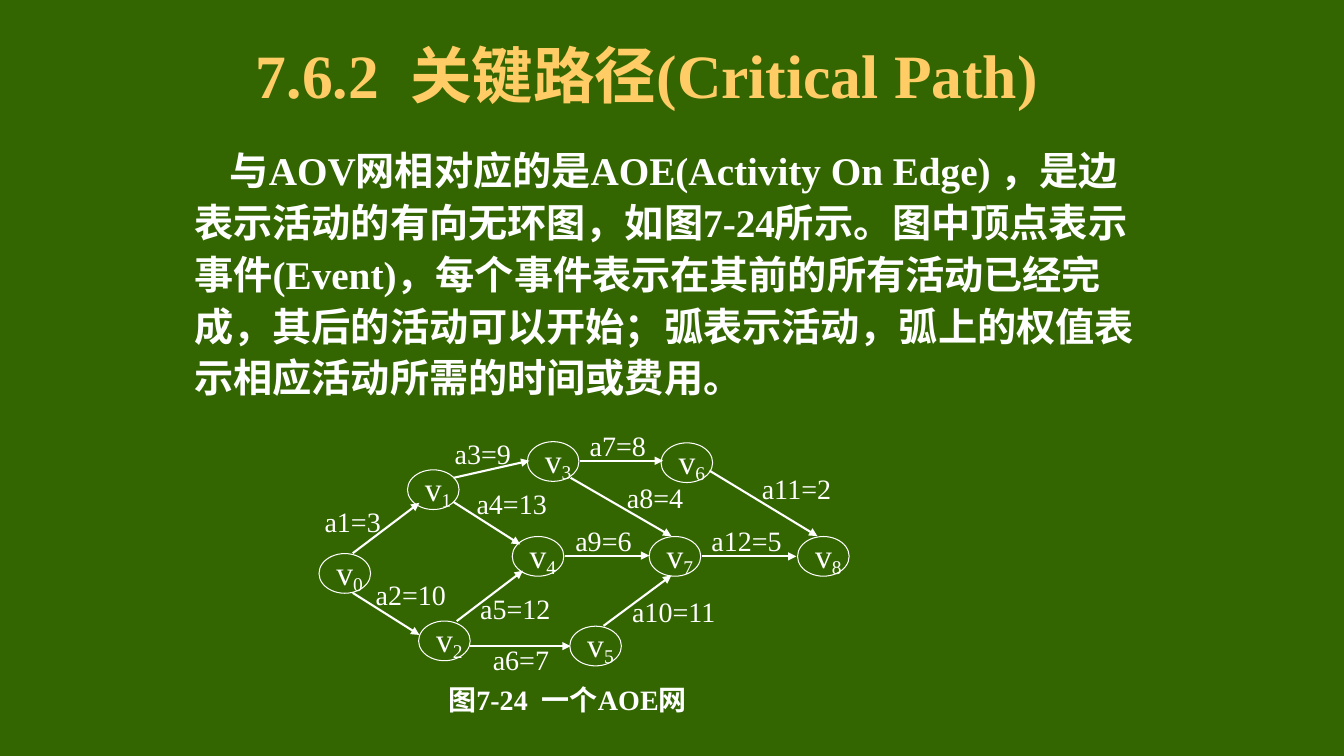
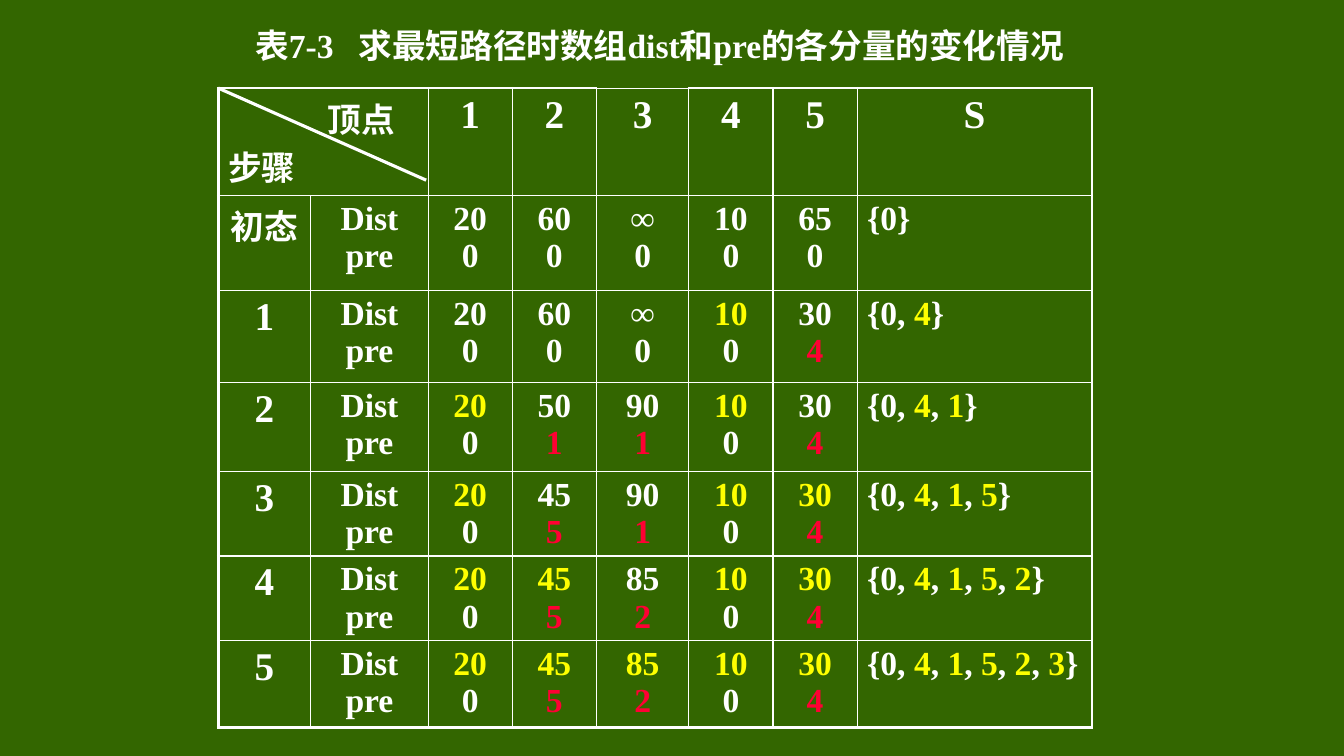
from pptx import Presentation
from pptx.dml.color import RGBColor
from pptx.enum.shapes import MSO_CONNECTOR as LINE, MSO_SHAPE as SHAPE
from pptx.enum.text import MSO_ANCHOR as ANCHOR, PP_ALIGN as ALIGN
from pptx.oxml.ns import qn
from pptx.util import Cm, Pt
from lxml.etree import SubElement

GREEN = RGBColor(0x33, 0x66, 0x00)
GOLD = RGBColor(0xFF, 0xCC, 0x66)
WHITE = RGBColor(0xFF, 0xFF, 0xFF)
YELLOW = RGBColor(0xFF, 0xFF, 0x00)
RED = RGBColor(0xFF, 0x00, 0x33)
LATIN, HAN = "Times New Roman", "Noto Sans CJK SC"
THIN, THICK = Pt(1), Pt(2.25)

BODY = ("与AOV网相对应的是AOE(Activity On Edge) ，是边表示活动的有向无环图，"
        "如图7-24所示。图中顶点表示事件(Event)，每个事件表示在其前的所有活动已经完成，"
        "其后的活动可以开始；弧表示活动，弧上的权值表示相应活动所需的时间或费用。")

# Left and top of the events v0 to v8, in cm
NODES = [(8.04, 13.95), (10.27, 11.84), (10.55, 15.65), (13.29, 11.13), (12.91, 13.52),
         (14.36, 15.78), (16.66, 11.16), (16.36, 13.52), (20.1, 13.52)]

# Weight, left and top of the label, start and end of the arrow, for a1 to a12
EDGES = [
    (3, (7.93, 12.69), (8.89, 13.94), (10.57, 12.67)),
    (10, (9.22, 14.53), (8.89, 14.94), (10.57, 16)),
    (9, (11.21, 10.97), (11.43, 12.04), (13.34, 11.61)),
    (13, (11.76, 12.25), (11.43, 12.65), (13.11, 13.72)),
    (12, (11.85, 14.88), (11.51, 15.65), (13.18, 14.38)),
    (7, (12.17, 16.18), (11.84, 16.28), (14.38, 16.28)),
    (8, (14.61, 10.77), (14.61, 11.61), (16.71, 11.61)),
    (4, (15.55, 12.09), (14.38, 12.04), (16.92, 13.51)),
    (6, (14.25, 13.16), (14.25, 14), (16.36, 14)),
    (11, (15.68, 14.96), (15.21, 15.77), (16.92, 14.5)),
    (2, (18.95, 11.86), (17.88, 11.86), (20.6, 13.51)),
    (5, (17.68, 13.18), (17.68, 14.02), (20.07, 14.02)),
]

COLS = [2.33, 2.96, 2.12, 2.12, 2.33, 2.12, 2.12, 5.92]
ROWS = [2.7, 2.39, 2.32, 2.24, 2.12, 2.12, 2.19]
ORDER = [4, 1, 5, 2, 3]  # vertices in the order they join S
STEPS = [  # dist and pre of vertices 1 to 5 at each step
    ("20 60 ∞ 10 65", "0 0 0 0 0"),
    ("20 60 ∞ 10 30", "0 0 0 0 4"),
    ("20 50 90 10 30", "0 1 1 0 4"),
    ("20 45 90 10 30", "0 5 1 0 4"),
    ("20 45 85 10 30", "0 5 2 0 4"),
    ("20 45 85 10 30", "0 5 2 0 4"),
]


def add_run(para, text, size, color=WHITE, bold=True):
    run = para.add_run()
    run.text = text
    font = run.font
    font.name, font.size, font.bold = LATIN, Pt(size), bold
    font.color.rgb = color
    SubElement(font._element, qn("a:ea"), typeface=HAN)
    return run


def add_text(slide, box, text, size, color=WHITE, bold=True, align=ALIGN.LEFT,
             anchor=ANCHOR.MIDDLE, pitch=None):
    """Add a one-paragraph text box; pitch is the line height in points."""
    frame = slide.shapes.add_textbox(*map(Cm, box)).text_frame
    frame.word_wrap = True
    frame.vertical_anchor = anchor
    para = frame.paragraphs[0]
    para.alignment = align
    if pitch:
        para.line_spacing = Pt(pitch)
    add_run(para, text, size, color, bold)
    return para


def add_node(slide, num, spot):
    node = slide.shapes.add_shape(SHAPE.OVAL, *map(Cm, (*spot, 1.3, 1)))
    node.shadow.inherit = False
    node.fill.background()
    node.line.color.rgb = WHITE
    node.line.width = Pt(0.75)
    frame = node.text_frame
    frame.word_wrap = False
    frame.vertical_anchor = ANCHOR.MIDDLE
    frame.margin_left = Cm(0.25)
    frame.margin_right = frame.margin_top = frame.margin_bottom = 0
    para = frame.paragraphs[0]
    para.alignment = ALIGN.LEFT
    add_run(para, "v", 24, bold=False)
    sub = add_run(para, str(num), 24, bold=False)
    sub.font._element.set("baseline", "-18000")


def add_line(slide, start, end, width, arrow=False):
    line = slide.shapes.add_connector(LINE.STRAIGHT, *map(Cm, (*start, *end)))
    line.line.color.rgb = WHITE
    line.line.width = width
    if arrow:
        SubElement(line.line._get_or_add_ln(), qn("a:tailEnd"), type="triangle")
    SubElement(line._element.spPr, qn("a:effectLst"))


def set_edges(cell, widths):
    """Draw the cell's borders; widths maps L, R, T and B to lengths."""
    props = cell._tc.get_or_add_tcPr()
    for side in "LRTB":
        edge = SubElement(props, qn(f"a:ln{side}"), w=str(int(widths[side])))
        fill = SubElement(edge, qn("a:solidFill"))
        SubElement(fill, qn("a:srgbClr"), val=str(WHITE))


def fill_cell(cell, lines, size=24, align=ALIGN.CENTER):
    """Write lines, each a list of (text, colour) pairs."""
    frame = cell.text_frame
    for i, parts in enumerate(lines):
        para = frame.add_paragraph() if i else frame.paragraphs[0]
        para.alignment = align
        for text, color in parts:
            add_run(para, text, size, color)


def set_parts(done):
    """Spell the set S, with the vertices that joined it in yellow."""
    parts = [("{0", WHITE)]
    for vertex in done:
        parts += [(", ", WHITE), (str(vertex), YELLOW)]
    return parts + [("}", WHITE)]


def add_grid(slide, left, top):
    rows, cols = len(ROWS), len(COLS)
    box = map(Cm, (left, top, sum(COLS), sum(ROWS)))
    table = slide.shapes.add_table(rows, cols, *box).table
    table.first_row = table.horz_banding = False
    for col, width in zip(table.columns, COLS):
        col.width = Cm(width)
    for row, height in zip(table.rows, ROWS):
        row.height = Cm(height)
    for r in range(rows):
        for c in range(cols):
            cell = table.cell(r, c)
            set_edges(cell, {
                "L": THICK if c == 0 else THIN,
                "R": THICK if c == cols - 1 else THIN,
                "T": THICK if r == 0 and c != 4 else THIN,
                "B": THICK if r == rows - 1 else THIN,
            })
            cell.fill.background()
    return table


def fill_grid(table):
    corner = table.cell(0, 0)
    corner.merge(table.cell(0, 1))
    fill_cell(corner, [[("顶点", WHITE)], [("步骤", WHITE)]], align=ALIGN.LEFT)
    first = corner.text_frame.paragraphs[0]
    first._p.get_or_add_pPr().set("marL", str(Cm(2.5)))
    for c, head in enumerate("12345S", 2):
        fill_cell(table.cell(0, c), [[(head, WHITE)]], 28)
    for step, (dist, pre) in enumerate(STEPS):
        row, done = step + 1, ORDER[:step]
        name, size = (str(step), 28) if step else ("初态", 24)
        fill_cell(table.cell(row, 0), [[(name, WHITE)]], size)
        fill_cell(table.cell(row, 1), [[("Dist", WHITE)], [("pre", WHITE)]])
        for vertex, (far, prev) in enumerate(zip(dist.split(), pre.split()), 1):
            fill_cell(table.cell(row, vertex + 1), [
                [(far, YELLOW if vertex in done else WHITE)],
                [(prev, WHITE if prev == "0" else RED)],
            ])
        fill_cell(table.cell(row, 7), [set_parts(done)], align=ALIGN.LEFT)


def add_slide(deck):
    slide = deck.slides.add_slide(deck.slide_layouts[6])
    fill = slide.background.fill
    fill.solid()
    fill.fore_color.rgb = GREEN
    return slide


def build_graph(deck):
    slide = add_slide(deck)
    add_text(slide, (6.15, 0.92, 20.32, 1.9), "7.6.2  关键路径(Critical Path)", 44, GOLD,
             align=ALIGN.CENTER, pitch=53)
    body = add_text(slide, (4.65, 3.45, 24.28, 7.06), BODY, 28,
                    anchor=ANCHOR.TOP, pitch=37)
    body._p.get_or_add_pPr().set("indent", str(Cm(0.89)))
    for num, spot in enumerate(NODES):
        add_node(slide, num, spot)
    for num, (weight, spot, start, end) in enumerate(EDGES, 1):
        add_text(slide, (*spot, 2.7, 0.89), f"a{num}={weight}", 20, bold=False)
        add_line(slide, start, end, Pt(1.5), arrow=True)
    add_text(slide, (11.05, 17.12, 7.6, 1), "图7-24  一个AOE网", 20)


def build_table(deck):
    slide = add_slide(deck)
    left, top = 5.5, 2.22
    fill_grid(add_grid(slide, left, top))
    add_line(slide, (left, top), (10.74, 4.54), THICK)
    add_text(slide, (5.12, 0.53, 23, 1.2),
             "表7-3   求最短路径时数组dist和pre的各分量的变化情况", 24, align=ALIGN.CENTER)


def main():
    deck = Presentation()
    deck.slide_width, deck.slide_height = Cm(33.87), Cm(19.05)
    build_graph(deck)
    build_table(deck)
    deck.save("out.pptx")


if __name__ == "__main__":
    main()
